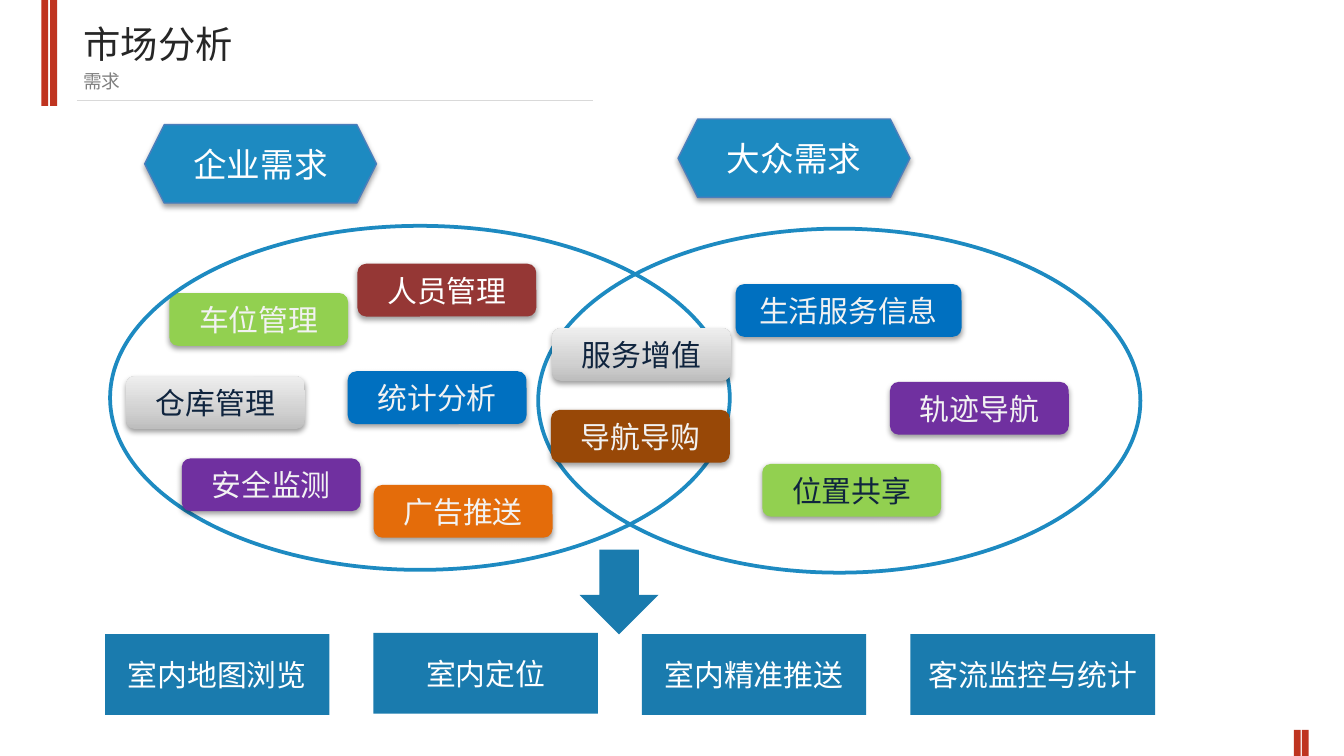
from lxml.etree import SubElement
from pptx import Presentation
from pptx.dml.color import RGBColor
from pptx.enum.shapes import MSO_CONNECTOR, MSO_SHAPE
from pptx.enum.text import MSO_ANCHOR, PP_ALIGN
from pptx.oxml.ns import qn
from pptx.util import Pt

THEME = {
    "accent": "BF3420", "rule": "D9D9D9", "title": "262626", "subtitle": "808080",
    "blue": "1D8AC1", "edge": "4B7EBC", "deep": "1A7BAE", "white": "FFFFFF",
    "pale": "F2F2F2", "navy": "0F243E", "green": "92D050", "red": "953735",
    "purple": "7030A0", "orange": "E46C0A", "azure": "0070C0", "brown": "984807",
    "silver": [(0, "BDBDBD"), (35, "D1D1D1"), (100, "EEEEEE")],
    "shadow": "000000", "font": "Arial", "title_font": "Roboto Condensed",
    "title_size": 20, "subtitle_size": 10, "heading_size": 18, "label_size": 16,
}

HEADINGS = [("企业需求", 77.5, 66.8), ("大众需求", 363.3, 63.8)]
CIRCLES = [(59, 121, 332, 184.3), (288.3, 122.5, 322.6, 184.3)]
BACK_CHIP = ("车位管理", 90.7, 157, 95.8, "green", "pale")
CHIPS = [
    ("人员管理", 191.5, 141.3, 95.8, "red", "white"),
    ("仓库管理", 67.5, 201.6, 95.8, "silver", "navy"),
    ("安全监测", 97.4, 245.6, 95.8, "purple", "pale"),
    ("广告推送", 200.2, 259.8, 95.8, "orange", "pale"),
    ("统计分析", 186.3, 198.9, 95.8, "azure", "pale"),
    ("服务增值", 295.8, 175.8, 95.8, "silver", "navy"),
    ("导航导购", 295.2, 219.6, 95.8, "brown", "pale"),
    ("生活服务信息", 394.1, 152.2, 121, "azure", "pale"),
    ("位置共享", 408.4, 248.5, 95.8, "green", "navy"),
    ("轨迹导航", 476.8, 204.6, 95.8, "purple", "pale"),
]
CHIP_HEIGHT = 28.3
FEATURES = [
    ("室内地图浏览", 339.8, 120.2),
    ("室内定位", 339.1, 120.2),
    ("室内精准推送", 339.8, 120.2),
    ("客流监控与统计", 339.8, 131.2),
]
FEATURE_LEFT, FEATURE_PITCH, FEATURE_HEIGHT = 56.3, 143.8, 43.3
BARS = [(22.1, 0, 56.8), (26.9, 0, 56.8), (697.4, 391, 14), (693.1, 391, 14)]
BAR_WIDTH = 3.7

deck = Presentation()
deck.slide_width, deck.slide_height = Pt(720), Pt(405)
page = deck.slides.add_slide(deck.slide_layouts[6])


def color(name):
    return RGBColor.from_string(THEME[name])


def fill_gradient(shape, stops):
    shape.fill.gradient()
    shape.fill.gradient_angle = 90
    stop_list = shape._element.spPr.find(qn("a:gradFill")).find(qn("a:gsLst"))
    for old_stop in list(stop_list):
        stop_list.remove(old_stop)
    for position, value in stops:
        stop = SubElement(stop_list, qn("a:gs"), pos=str(position * 1000))
        SubElement(stop, qn("a:srgbClr"), val=value)


def add_shadow(shape):
    effects = shape._element.spPr.find(qn("a:effectLst"))
    outer = SubElement(effects, qn("a:outerShdw"), blurRad=str(Pt(3.1)),
                       dist=str(Pt(1.6)), dir="5400000", rotWithShape="0")
    tint = SubElement(outer, qn("a:srgbClr"), val=THEME["shadow"])
    SubElement(tint, qn("a:alpha"), val="38000")


def add_figure(kind, bounds, fill=None, line=None, line_width=0.75, shadow=False):
    shape = page.shapes.add_shape(kind, *map(Pt, bounds))
    if fill is None:
        shape.fill.background()
    elif isinstance(THEME[fill], list):
        fill_gradient(shape, THEME[fill])
    else:
        shape.fill.solid()
        shape.fill.fore_color.rgb = color(fill)
    if line:
        shape.line.color.rgb = color(line)
        shape.line.width = Pt(line_width)
    else:
        shape.line.fill.background()
    shape.shadow.inherit = False
    if shadow:
        add_shadow(shape)
    return shape


def write(shape, text, size, ink, font="font", align=PP_ALIGN.CENTER, anchor=MSO_ANCHOR.MIDDLE):
    frame = shape.text_frame
    frame.word_wrap = True
    frame.vertical_anchor = anchor
    para = frame.paragraphs[0]
    para.text = text
    para.alignment = align
    para.font.name = THEME[font]
    para.font.size = Pt(THEME[size])
    para.font.color.rgb = color(ink)


def add_chip(text, left, top, width, fill, ink):
    chip = add_figure(MSO_SHAPE.ROUNDED_RECTANGLE, (left, top, width, CHIP_HEIGHT), fill, shadow=True)
    write(chip, text, "label_size", ink)


def add_caption(text, bounds, size, ink, font):
    box = page.shapes.add_textbox(*map(Pt, bounds))
    write(box, text, size, ink, font, PP_ALIGN.LEFT, MSO_ANCHOR.TOP)


for left, top, height in BARS:
    add_figure(MSO_SHAPE.RECTANGLE, (left, top, BAR_WIDTH, height), "accent")

rule = page.shapes.add_connector(MSO_CONNECTOR.STRAIGHT, Pt(41.2), Pt(53.7), Pt(317.6), Pt(53.7))
rule.line.color.rgb = color("rule")
rule.line.width = Pt(0.75)
SubElement(rule._element.spPr, qn("a:effectLst"))

add_caption("市场分析", (37.6, 7.9, 304.6, 31.5), "title_size", "title", "title_font")
add_caption("需求", (37.6, 33.8, 304.6, 19.4), "subtitle_size", "subtitle", "font")

add_chip(*BACK_CHIP)
for bounds in CIRCLES:
    add_figure(MSO_SHAPE.OVAL, bounds, line="blue", line_width=2)
for text, left, top in HEADINGS:
    heading = add_figure(MSO_SHAPE.HEXAGON, (left, top, 124.2, 42), "blue", "edge", shadow=True)
    write(heading, text, "heading_size", "white")
for chip_values in CHIPS:
    add_chip(*chip_values)

add_figure(MSO_SHAPE.DOWN_ARROW, (310.5, 294.5, 42.3, 45.4), "deep")
for index, (text, top, width) in enumerate(FEATURES):
    left = FEATURE_LEFT + index * FEATURE_PITCH
    feature = add_figure(MSO_SHAPE.RECTANGLE, (left, top, width, FEATURE_HEIGHT), "deep")
    write(feature, text, "label_size", "white")

deck.save("out.pptx")
